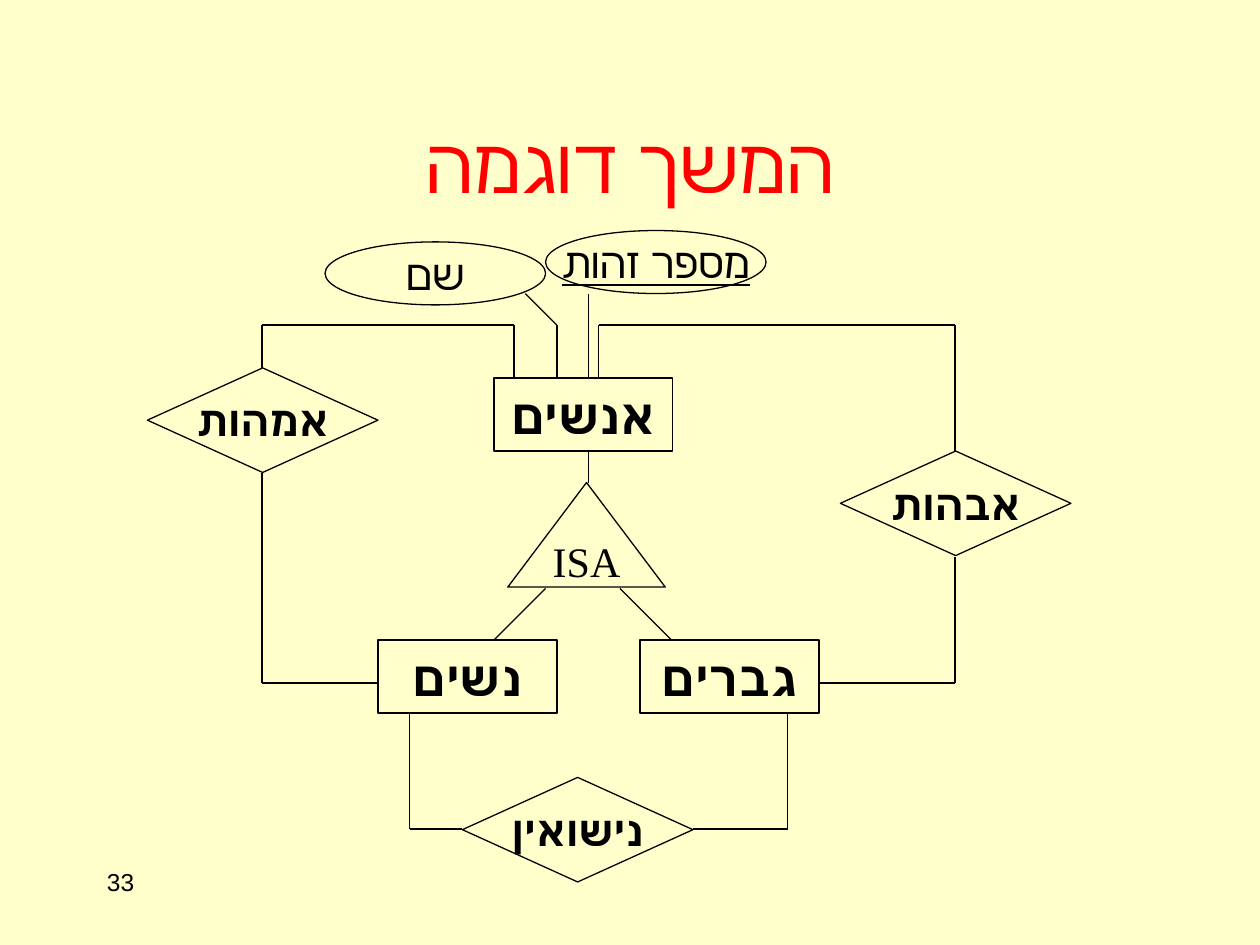
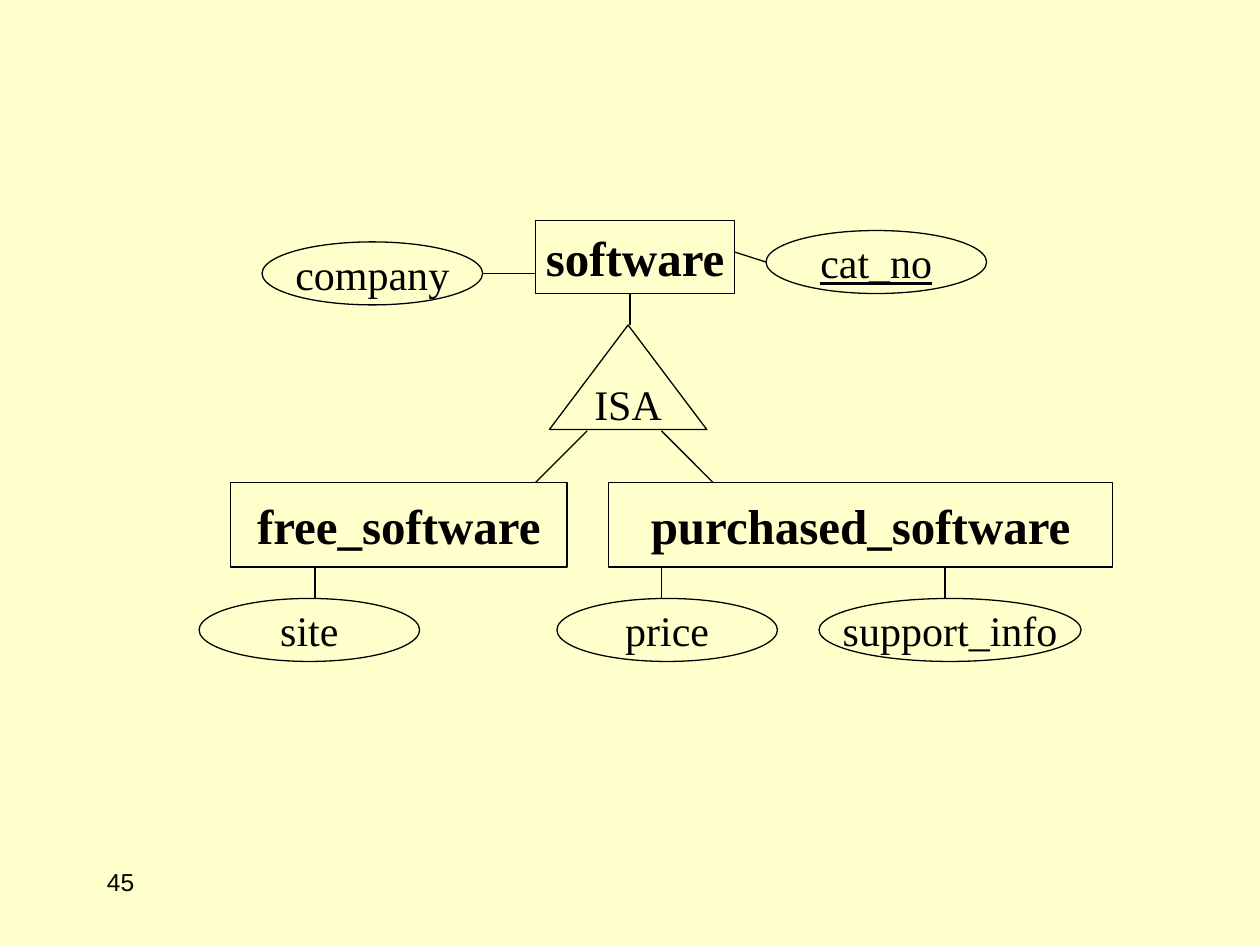
import pptx
import pptx.dml.color
import pptx.enum.shapes
import pptx.enum.text
import pptx.util
import lxml.etree
from pptx.util import Inches

KIND = pptx.enum.shapes.MSO_SHAPE
ALIGN = pptx.enum.text.PP_ALIGN
MIDDLE = pptx.enum.text.MSO_ANCHOR.MIDDLE
SERIF = "Times New Roman"
SANS = "Arial"
CREAM, BLACK, RED = "FFFFCC", "000000", "FF0000"


def tint(code):
    return pptx.dml.color.RGBColor.from_string(code)


def child(parent, tag):
    name = pptx.oxml.ns.qn(tag)
    return lxml.etree.SubElement(parent, name)


def write(frame, text, size=24, face=SERIF, color=BLACK, bold=False,
          under=False, align=ALIGN.CENTER, script=None):
    para = frame.paragraphs[0]
    para.alignment = align
    para._p.get_or_add_pPr().set("rtl", "1")
    run = para.add_run()
    run.text = text
    font = run.font
    font.size = pptx.util.Pt(size)
    font.name = face
    font.bold = bold
    font.underline = under
    font.color.rgb = tint(color)
    if script:
        child(run._r.get_or_add_rPr(), "a:cs").set("typeface", script)


class Deck:
    def __init__(self):
        self.show = pptx.Presentation()
        self.show.slide_width = Inches(10)
        self.show.slide_height = Inches(7.5)
        fill = self.show.slide_master.background.fill
        fill.solid()
        fill.fore_color.rgb = tint(CREAM)
        self.slide = None

    def page(self, number, title=None):
        layout = self.show.slide_layouts[5 if title else 6]
        self.slide = self.show.slides.add_slide(layout)
        if title:
            self.title(title)
        box = self.slide.shapes.add_textbox(
            Inches(0.75), Inches(6.83), Inches(2.08), Inches(0.5))
        box.text_frame.word_wrap = True
        write(box.text_frame, number, size=14, align=ALIGN.LEFT, script=SANS)

    def title(self, text):
        head = self.slide.shapes.title
        head.left, head.top = Inches(0.75), Inches(0.67)
        head.width, head.height = Inches(8.5), Inches(1.25)
        head.text_frame.vertical_anchor = MIDDLE
        write(head.text_frame, text, size=44, face=SANS, color=RED)

    def node(self, kind, text, left, top, width, height, **style):
        shape = self.slide.shapes.add_shape(
            kind, Inches(left), Inches(top), Inches(width), Inches(height))
        shape.shadow.inherit = False
        shape.fill.solid()
        shape.fill.fore_color.rgb = tint(CREAM)
        shape.line.color.rgb = tint(BLACK)
        shape.line.width = pptx.util.Pt(0.75)
        shape.text_frame.word_wrap = False
        shape.text_frame.vertical_anchor = MIDDLE
        write(shape.text_frame, text, **style)

    def table(self, text, left, top, width=1.42, height=0.58):
        self.node(KIND.RECTANGLE, text, left, top, width, height,
                  size=28, bold=True)

    def link(self, text, left, top):
        self.node(KIND.DIAMOND, text, left, top, 1.83, 0.83, bold=True)

    def field(self, text, left, top, width=1.75, key=False):
        self.node(KIND.OVAL, text, left, top, width, 0.5, under=key)

    def wire(self, *points):
        for start, end in zip(points, points[1:]):
            line = self.slide.shapes.add_connector(
                pptx.enum.shapes.MSO_CONNECTOR.STRAIGHT,
                *map(Inches, start + end))
            line.line.color.rgb = tint(BLACK)
            line.line.width = pptx.util.Pt(0.75)
            child(line._element.spPr, "a:effectLst")

    def isa(self, left, top):
        base, foot = top + 0.84, top + 1.25
        self.wire((left + 0.64, top - 0.25), (left + 0.64, top))
        self.wire((left + 0.3, base), (left - 0.11, foot))
        self.wire((left + 0.89, base), (left + 1.3, foot))
        self.node(KIND.ISOSCELES_TRIANGLE, "ISA", left, top, 1.25, 0.83)


def people(deck):
    deck.page("33", "המשך דוגמה")
    deck.wire((4.08, 3), (4.08, 2.58), (2.08, 2.58), (2.08, 2.92))
    deck.wire((2.08, 3.75), (2.08, 5.42), (3, 5.42))
    deck.wire((4.75, 3), (4.75, 2.58), (7.58, 2.58), (7.58, 3.58))
    deck.wire((7.58, 4.42), (7.58, 5.42), (6.5, 5.42))
    deck.wire((3.25, 5.67), (3.25, 6.58), (3.67, 6.58))
    deck.wire((6.25, 5.67), (6.25, 6.58), (5.5, 6.58))
    deck.wire((4.17, 2.33), (4.42, 2.58), (4.42, 3))
    deck.wire((4.67, 2.33), (4.67, 3))
    deck.isa(4.03, 3.83)
    deck.field("שם", 2.58, 1.92)
    deck.field("מספר זהות", 4.33, 1.83, key=True)
    deck.table("אנשים", 3.92, 3)
    deck.table("נשים", 3, 5.08)
    deck.table("גברים", 5.08, 5.08)
    deck.link("אמהות", 1.17, 2.92)
    deck.link("אבהות", 6.67, 3.58)
    deck.link("נישואין", 3.67, 6.17)


def goods(deck):
    deck.page("45")
    deck.wire((3.83, 2.17), (4.25, 2.17))
    deck.wire((5.83, 2), (6.08, 2.08))
    for across in (2.5, 5.25, 7.5):
        deck.wire((across, 4.5), (across, 4.75))
    deck.isa(4.36, 2.58)
    deck.table("software", 4.25, 1.75, 1.58)
    deck.table("free_software", 1.83, 3.83, 2.67, 0.67)
    deck.table("purchased_software", 4.83, 3.83, 4, 0.67)
    deck.field("company", 2.08, 1.92)
    deck.field("cat_no", 6.08, 1.83, key=True)
    deck.field("site", 1.58, 4.75)
    deck.field("price", 4.42, 4.75)
    deck.field("support_info", 6.5, 4.75, 2.08)


def main():
    deck = Deck()
    people(deck)
    goods(deck)
    deck.show.save("out.pptx")


if __name__ == "__main__":
    main()
